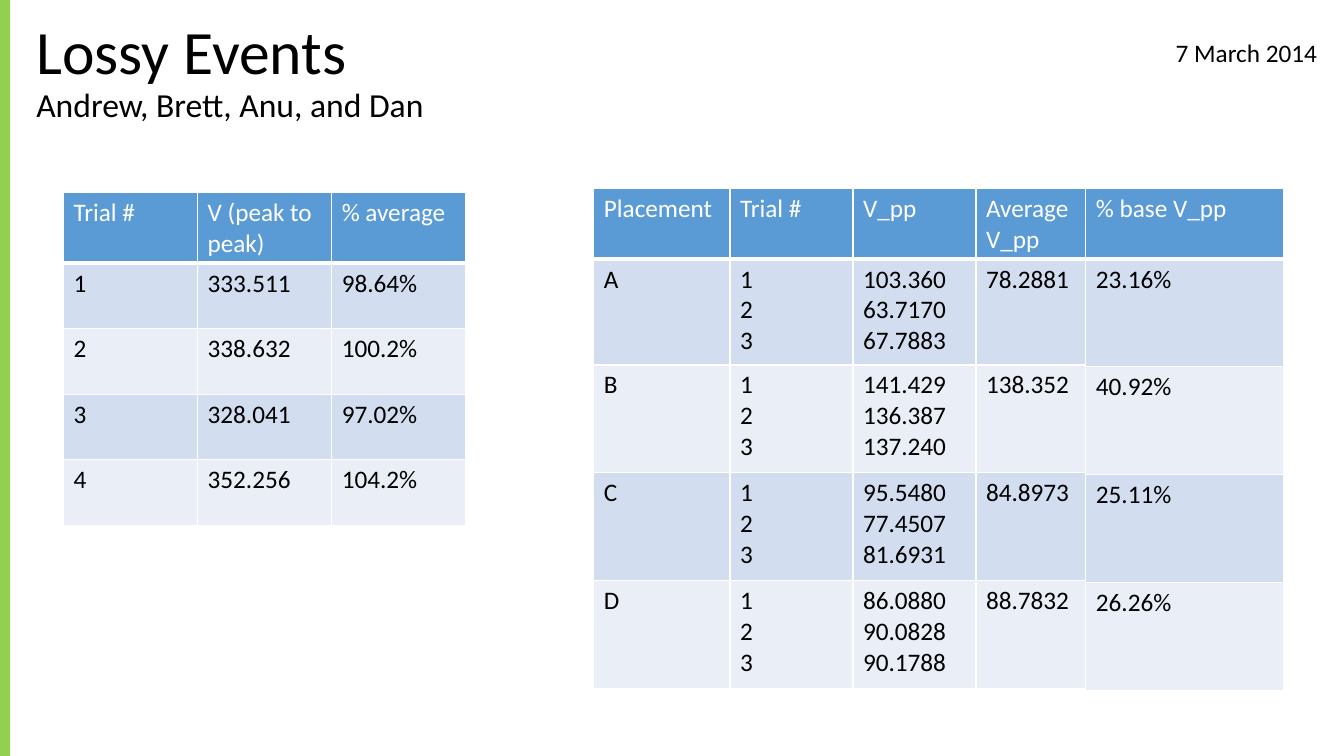
import pptx
import pptx.util
import pptx.dml.color
import pptx.enum.shapes
import pptx.enum.text
from lxml import etree

Inches = pptx.util.Inches
Pt = pptx.util.Pt
FONT = "Calibri"
BLACK, WHITE, GREEN = "000000", "FFFFFF", "92D050"
HEADER_BLUE, ROW_FILLS = "5B9BD5", ("D2DEEF", "EAEFF7")
DRAWING_NS = "http://schemas.openxmlformats.org/drawingml/2006/main"

TRIALS = [
    ["Trial #", "V (peak to peak)", "% average"],
    ["1", "333.511", "98.64%"],
    ["2", "338.632", "100.2%"],
    ["3", "328.041", "97.02%"],
    ["4", "352.256", "104.2%"],
]
PLACEMENTS = [
    ["Placement", "Trial #", "V_pp", "Average V_pp"],
    ["A", "1\n2\n3", "103.360\n63.7170\n67.7883", "78.2881"],
    ["B", "1\n2\n3", "141.429\n136.387\n137.240", "138.352"],
    ["C", "1\n2\n3", "95.5480\n77.4507\n81.6931", "84.8973"],
    ["D", "1\n2\n3", "86.0880\n90.0828\n90.1788", "88.7832"],
]
BASE_SHARES = [["% base V_pp"], ["23.16%"], ["40.92%"], ["25.11%"], ["26.26%"]]


def color(value):
    return pptx.dml.color.RGBColor.from_string(value)


def style_font(font, size, value):
    font.name = FONT
    font.size = Pt(size)
    font.color.rgb = color(value)


def border_cell(cell, bottom_width):
    properties = cell._tc.get_or_add_tcPr()
    widths = {"lnL": 1, "lnR": 1, "lnT": 1, "lnB": bottom_width}
    for position, (side, width) in enumerate(widths.items()):
        line = etree.Element(f"{{{DRAWING_NS}}}{side}", w=str(Pt(width)))
        fill = etree.SubElement(line, f"{{{DRAWING_NS}}}solidFill")
        etree.SubElement(fill, f"{{{DRAWING_NS}}}srgbClr", val=WHITE)
        properties.insert(position, line)


def add_heading(slide, left, top, width, height):
    title = slide.shapes.title
    title.left, title.top = Inches(left), Inches(top)
    title.width, title.height = Inches(width), Inches(height)
    frame = title.text_frame
    frame.auto_size = pptx.enum.text.MSO_AUTO_SIZE.NONE
    frame.vertical_anchor = pptx.enum.text.MSO_ANCHOR.MIDDLE
    paragraph = frame.paragraphs[0]
    paragraph.alignment = pptx.enum.text.PP_ALIGN.LEFT
    paragraph.line_spacing = 0.9
    topic = paragraph.add_run()
    topic.text = "Lossy Events"
    style_font(topic.font, 44, BLACK)
    paragraph.add_line_break()
    authors = paragraph.add_run()
    authors.text = "Andrew, Brett, Anu, and Dan"
    style_font(authors.font, 24, BLACK)


def add_date(slide, left, top, width, height):
    date = slide.shapes.add_textbox(
        Inches(left), Inches(top), Inches(width), Inches(height))
    date.text_frame.word_wrap = True
    paragraph = date.text_frame.paragraphs[0]
    paragraph.text = "7 March 2014"
    paragraph.alignment = pptx.enum.text.PP_ALIGN.RIGHT
    style_font(paragraph.font, 18, BLACK)


def add_side_bar(slide, left, top, width, height):
    bar = slide.shapes.add_shape(
        pptx.enum.shapes.MSO_SHAPE.RECTANGLE,
        Inches(left), Inches(top), Inches(width), Inches(height))
    bar.shadow.inherit = False
    bar.fill.solid()
    bar.fill.fore_color.rgb = color(GREEN)
    bar.line.fill.background()


def add_results(slide, left, top, rows, column_widths, row_heights):
    table = slide.shapes.add_table(
        len(rows), len(column_widths), Inches(left), Inches(top),
        Inches(sum(column_widths)), Inches(sum(row_heights))).table
    for column, width in zip(table.columns, column_widths):
        column.width = Inches(width)
    for index, (values, height) in enumerate(zip(rows, row_heights)):
        is_header = index == 0
        table.rows[index].height = Inches(height)
        for cell, value in zip(table.rows[index].cells, values):
            cell.text = value
            cell.fill.solid()
            cell.fill.fore_color.rgb = color(
                HEADER_BLUE if is_header else ROW_FILLS[(index - 1) % 2])
            border_cell(cell, 3 if is_header else 1)
            for paragraph in cell.text_frame.paragraphs:
                style_font(paragraph.font, 18, WHITE if is_header else BLACK)
                paragraph.font.bold = False


def main():
    deck = pptx.Presentation()
    deck.slide_width, deck.slide_height = Inches(13.33), Inches(7.5)
    slide = deck.slides.add_slide(deck.slide_layouts[5])
    add_heading(slide, 0.26, 0, 11.5, 1.45)
    add_date(slide, 9.99, 0.32, 3.17, 0.4)
    add_side_bar(slide, 0, 0, 0.1, 7.5)
    add_results(slide, 0.63, 1.91, TRIALS, [1.33] * 3, [0.7] + [0.65] * 4)
    add_results(slide, 5.89, 1.87, PLACEMENTS,
                [1.35] + [1.22] * 3, [0.7, 1.05] + [1.07] * 3)
    add_results(slide, 10.77, 1.87, BASE_SHARES, [1.96], [0.7] + [1.07] * 4)
    deck.save("out.pptx")


if __name__ == "__main__":
    main()
